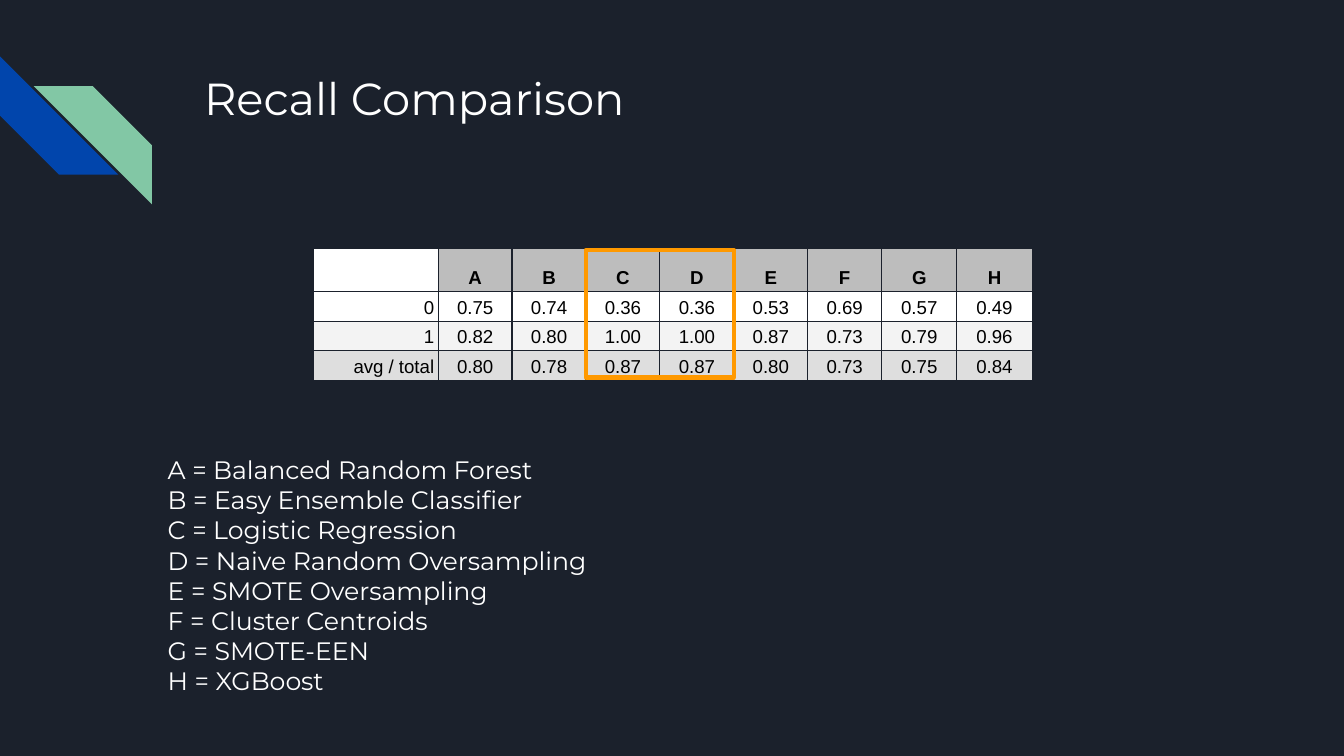
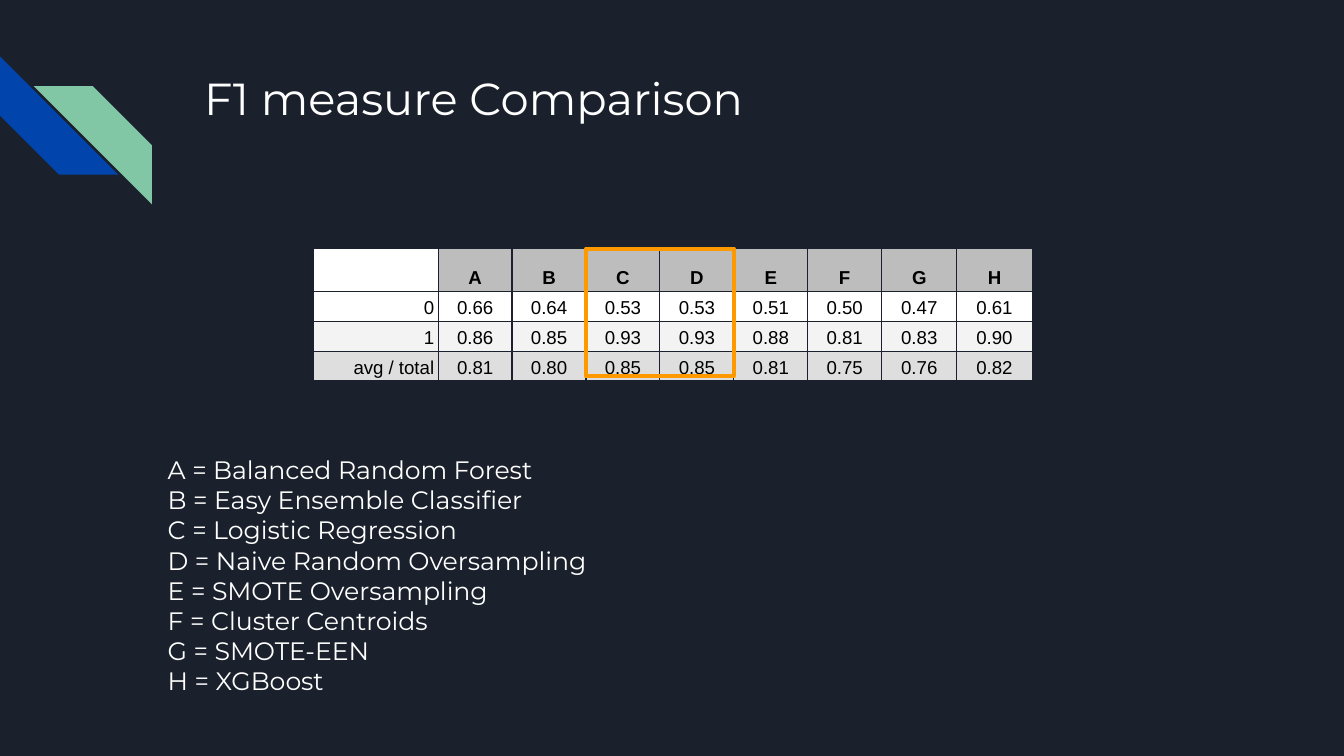
from dataclasses import dataclass

from lxml import etree
from pptx import Presentation
from pptx.dml.color import RGBColor
from pptx.enum.shapes import MSO_SHAPE
from pptx.enum.text import MSO_ANCHOR, PP_ALIGN
from pptx.oxml.ns import qn
from pptx.presentation import Presentation as Deck
from pptx.slide import Slide
from pptx.table import _Cell as Cell
from pptx.text.text import TextFrame
from pptx.util import Inches, Pt

STRIPE = MSO_SHAPE.DIAGONAL_STRIPE
RECTANGLE = MSO_SHAPE.RECTANGLE
LEFT, CENTER, RIGHT = PP_ALIGN.LEFT, PP_ALIGN.CENTER, PP_ALIGN.RIGHT
TOP, BOTTOM = MSO_ANCHOR.TOP, MSO_ANCHOR.BOTTOM

COLORS = {
    "background": "1B212C",
    "blue": "0145AC",
    "green": "82C7A5",
    "orange": "FF9900",
    "white": "FFFFFF",
    "black": "000000",
    "header": "BDBDBD",
    "light": "F3F3F3",
    "total": "DEDEDE",
}
HEADING_FONT = "Montserrat"
TABLE_FONT = "Arial"
TABLE_SIZE = 10

MODELS = {
    "A": "Balanced Random Forest",
    "B": "Easy Ensemble Classifier",
    "C": "Logistic Regression",
    "D": "Naive Random Oversampling",
    "E": "SMOTE Oversampling",
    "F": "Cluster Centroids",
    "G": "SMOTE-EEN",
    "H": "XGBoost",
}
ROW_LABELS = ["0", "1", "avg / total"]
ROW_FILLS = ["header", "white", "light", "total"]

# Table geometry in inches
TABLE_LEFT, TABLE_TOP = 2.33, 1.85
COLUMN_WIDTHS = [0.93] + [0.55] * 6 + [0.56] * 2
ROW_HEIGHTS = [0.32] + [0.22] * 3
BEST_COLUMNS = (3, 4)


@dataclass
class Stripe:
    left: float
    top: float
    rotation: int
    color: str


@dataclass
class Comparison:
    title: str
    scores: list[str]
    highlight_top: float


STRIPES = [Stripe(0, 0.42, 270, "blue"), Stripe(0.25, 0.64, 90, "green")]
STRIPE_SIZE = 0.88

COMPARISONS = [
    Comparison(
        "Recall Comparison",
        [
            "0.75 0.74 0.36 0.36 0.53 0.69 0.57 0.49",
            "0.82 0.80 1.00 1.00 0.87 0.73 0.79 0.96",
            "0.80 0.78 0.87 0.87 0.80 0.73 0.75 0.84",
        ],
        1.86,
    ),
    Comparison(
        "F1 measure Comparison",
        [
            "0.66 0.64 0.53 0.53 0.51 0.50 0.47 0.61",
            "0.86 0.85 0.93 0.93 0.88 0.81 0.83 0.90",
            "0.81 0.80 0.85 0.85 0.81 0.75 0.76 0.82",
        ],
        1.85,
    ),
]


def rgb(name: str) -> RGBColor:
    return RGBColor.from_string(COLORS[name])


def write_text(frame: TextFrame, text: str, *, size: float, font: str = HEADING_FONT,
               color: str = "white", bold: bool = False, align: PP_ALIGN = LEFT,
               spacing: float = 1.0) -> None:
    """Write one paragraph for each line of the text."""
    for index, line in enumerate(text.split("\n")):
        para = frame.add_paragraph() if index else frame.paragraphs[0]
        para.alignment = align
        para.line_spacing = spacing
        span = para.add_run()
        span.text = line
        span.font.size = Pt(size)
        span.font.name = font
        span.font.bold = bold
        span.font.color.rgb = rgb(color)


def add_text_box(page: Slide, text: str, left: float, top: float, width: float,
                 height: float, *, size: float) -> None:
    box = page.shapes.add_textbox(Inches(left), Inches(top), Inches(width), Inches(height))
    frame = box.text_frame
    frame.word_wrap = True
    frame.vertical_anchor = TOP
    frame.margin_left = frame.margin_right = Inches(0.1)
    frame.margin_top = frame.margin_bottom = Inches(0.1)
    write_text(frame, text, size=size)


def add_stripe(page: Slide, stripe: Stripe) -> None:
    shape = page.shapes.add_shape(STRIPE, Inches(stripe.left), Inches(stripe.top),
                                  Inches(STRIPE_SIZE), Inches(STRIPE_SIZE))
    shape.rotation = stripe.rotation
    shape.shadow.inherit = False
    shape.fill.solid()
    shape.fill.fore_color.rgb = rgb(stripe.color)
    shape.line.fill.background()


def style_cell(cell: Cell, fill: str) -> None:
    """Set the fill, insets and four borders of a cell."""
    cell.fill.solid()
    cell.fill.fore_color.rgb = rgb(fill)
    cell.vertical_anchor = BOTTOM
    cell.margin_left = cell.margin_right = Inches(0.03)
    cell.margin_top = Inches(0.01)
    cell.margin_bottom = Inches(0.02)
    properties = cell._tc.get_or_add_tcPr()
    for index, side in enumerate(("lnL", "lnR", "lnT", "lnB")):
        border = etree.Element(qn(f"a:{side}"), w=str(Pt(0.75)))
        solid = etree.SubElement(border, qn("a:solidFill"))
        etree.SubElement(solid, qn("a:srgbClr"), val=COLORS["background"])
        properties.insert(index, border)


def add_score_table(page: Slide, scores: list[str]) -> None:
    rows = [["", *MODELS]]
    rows += [[label, *line.split()] for label, line in zip(ROW_LABELS, scores)]
    frame = page.shapes.add_table(len(rows), len(COLUMN_WIDTHS),
                                  Inches(TABLE_LEFT), Inches(TABLE_TOP),
                                  Inches(sum(COLUMN_WIDTHS)), Inches(sum(ROW_HEIGHTS)))
    table = frame.table
    for column, width in zip(table.columns, COLUMN_WIDTHS):
        column.width = Inches(width)
    for row, height in zip(table.rows, ROW_HEIGHTS):
        row.height = Inches(height)
    for row_index, values in enumerate(rows):
        for column_index, value in enumerate(values):
            cell = table.cell(row_index, column_index)
            style_cell(cell, ROW_FILLS[row_index] if value else "white")
            if value:
                write_text(cell.text_frame, value, size=TABLE_SIZE, font=TABLE_FONT,
                           color="black", bold=row_index == 0, spacing=1.15,
                           align=CENTER if column_index else RIGHT)
            else:
                # A small end mark keeps the empty cell from stretching its row
                para = cell.text_frame.paragraphs[0]
                etree.SubElement(para._p, qn("a:endParaRPr"), sz=str(TABLE_SIZE * 100))


def add_highlight(page: Slide, top: float) -> None:
    """Frame the columns with the best scores."""
    first, last = BEST_COLUMNS
    left = TABLE_LEFT + sum(COLUMN_WIDTHS[:first])
    width = sum(COLUMN_WIDTHS[first:last + 1])
    shape = page.shapes.add_shape(RECTANGLE, Inches(left), Inches(top),
                                  Inches(width), Inches(0.95))
    shape.shadow.inherit = False
    shape.fill.background()
    shape.line.color.rgb = rgb("orange")
    shape.line.width = Pt(2.25)


def add_comparison(deck: Deck, comparison: Comparison) -> None:
    page = deck.slides.add_slide(deck.slide_layouts[6])
    page.background.fill.solid()
    page.background.fill.fore_color.rgb = rgb("background")

    # Corner decoration
    for stripe in STRIPES:
        add_stripe(page, stripe)

    # Scores, title and frame around the best models
    add_score_table(page, comparison.scores)
    add_text_box(page, comparison.title, 1.42, 0.43, 7.7, 1, size=24)
    add_highlight(page, comparison.highlight_top)

    # Key to the column letters
    key = "\n".join(f"{letter} = {model}" for letter, model in MODELS.items())
    add_text_box(page, key, 1.15, 3.28, 7.7, 2.09, size=13.5)


def main() -> None:
    deck = Presentation()
    deck.slide_width = Inches(10)
    deck.slide_height = Inches(10) * 9 // 16
    for comparison in COMPARISONS:
        add_comparison(deck, comparison)
    deck.save("out.pptx")


if __name__ == "__main__":
    main()
